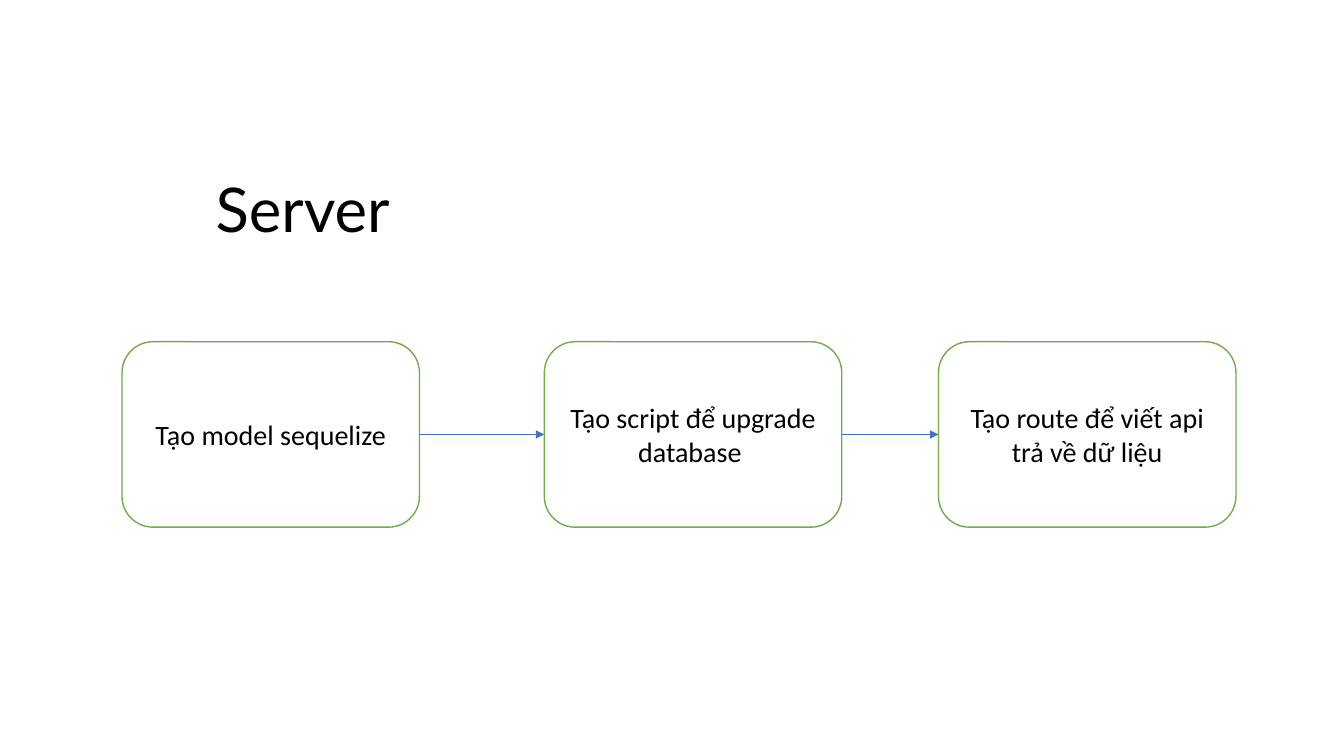
from pptx import Presentation
from pptx.dml.color import RGBColor
from pptx.enum.shapes import MSO_CONNECTOR as Connector, MSO_SHAPE as Shape
from pptx.enum.text import MSO_ANCHOR as Anchor, MSO_AUTO_SIZE as AutoSize, PP_ALIGN as Align
from pptx.oxml.ns import qn
from pptx.util import Inches, Pt
from lxml.etree import SubElement

COLORS = {"paper": "FFFFFF", "ink": "000000", "border": "70AD47", "arrow": "4472C4"}
LEFT, RIGHT = 1, 3  # connection sites of a rectangle

STEP_TOP, STEP_WIDTH, STEP_HEIGHT = 45.2, 22.13, 24.53
STEPS = [
    (9.08, "Tạo model sequelize"),
    (40.5, "Tạo script để upgrade database "),
    (69.83, "Tạo route để viết api trả về dữ liệu"),
]


def color(name):
    return RGBColor.from_string(COLORS[name])


def write(frame, text, font="Calibri", size=20, ink="ink", align=Align.LEFT):
    """Put one formatted paragraph into a text frame."""
    para = frame.paragraphs[0]
    para.alignment = align
    span = para.add_run()
    span.text = text
    span.font.name = font
    span.font.size = Pt(size)
    span.font.color.rgb = color(ink)


class FlowSlide:
    """A blank slide on which lengths are percentages of its width and height."""

    def __init__(self, deck):
        self.deck = deck
        self.page = deck.slides.add_slide(deck.slide_layouts[6])
        self.page.background.fill.solid()
        self.page.background.fill.fore_color.rgb = color("paper")

    def place(self, left, top, width, height):
        """Turn percentages into slide lengths."""
        across, down = self.deck.slide_width / 100, self.deck.slide_height / 100
        return [round(n) for n in (left * across, top * down, width * across, height * down)]

    def title(self, text, *area):
        box = self.page.shapes.add_textbox(*self.place(*area))
        box.text_frame.word_wrap = False
        box.text_frame.auto_size = AutoSize.SHAPE_TO_FIT_TEXT
        write(box.text_frame, text, font="Lato", size=44)

    def step(self, text, *area):
        box = self.page.shapes.add_shape(Shape.ROUNDED_RECTANGLE, *self.place(*area))
        box.shadow.inherit = False
        box.fill.solid()
        box.fill.fore_color.rgb = color("paper")
        box.line.color.rgb = color("border")
        box.line.width = Pt(1)
        box.text_frame.word_wrap = True
        box.text_frame.vertical_anchor = Anchor.MIDDLE
        write(box.text_frame, text, align=Align.CENTER)
        return box

    def arrow(self, source, target):
        line = self.page.shapes.add_connector(Connector.STRAIGHT, 0, 0, 0, 0)
        line.begin_connect(source, RIGHT)
        line.end_connect(target, LEFT)
        line.line.color.rgb = color("arrow")
        line.line.width = Pt(0.5)
        SubElement(line.line._get_or_add_ln(), qn("a:tailEnd"), type="triangle")
        SubElement(line._element.spPr, qn("a:effectLst"))


def main():
    deck = Presentation()
    deck.slide_width, deck.slide_height = Inches(13.33), Inches(7.5)
    flow = FlowSlide(deck)
    flow.title("Server", 15.3, 22, 14.7, 11.2)
    boxes = [flow.step(text, left, STEP_TOP, STEP_WIDTH, STEP_HEIGHT) for left, text in STEPS]
    for source, target in zip(boxes, boxes[1:]):
        flow.arrow(source, target)
    deck.save("out.pptx")


if __name__ == "__main__":
    main()
